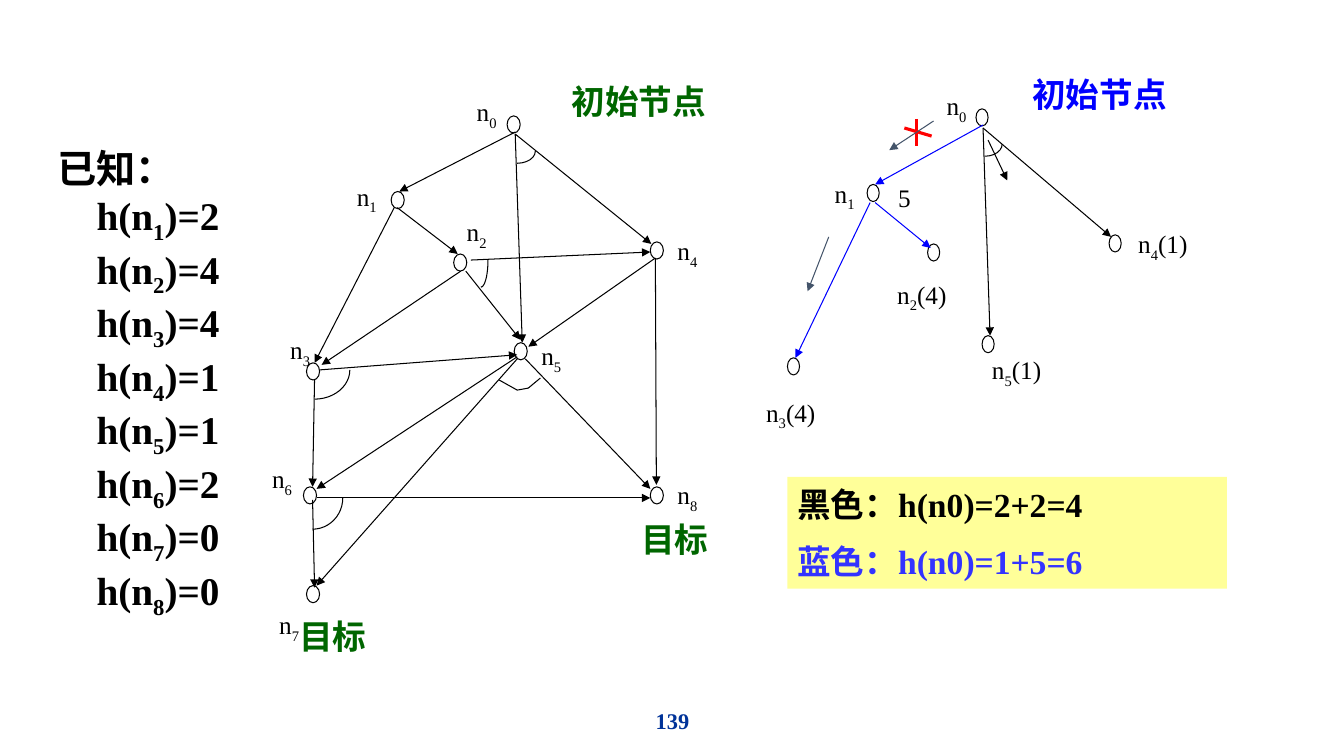
"""Build the slide that compares two solution paths in an AND/OR graph."""
from lxml import etree
from pptx import Presentation
from pptx.dml.color import RGBColor
from pptx.enum.shapes import MSO_CONNECTOR, MSO_SHAPE
from pptx.enum.text import MSO_ANCHOR, MSO_AUTO_SIZE, PP_ALIGN
from pptx.oxml.ns import qn
from pptx.util import Inches, Pt

STRAIGHT = MSO_CONNECTOR.STRAIGHT
OVAL, ARC, RECTANGLE = MSO_SHAPE.OVAL, MSO_SHAPE.ARC, MSO_SHAPE.RECTANGLE
MIDDLE = MSO_ANCHOR.MIDDLE
NO_AUTOFIT = MSO_AUTO_SIZE.NONE
LEFT, CENTER = PP_ALIGN.LEFT, PP_ALIGN.CENTER

FONT = "Times New Roman"
COLORS = {
    "black": "000000", "blue": "0000FF", "violet": "3333FF", "green": "006600",
    "navy": "003399", "red": "FF0000", "slate": "44546A", "yellow": "FFFF99",
}
HEURISTICS = [2, 4, 4, 1, 1, 2, 0, 0]

GRAPH_NODES = [
    (5.03, 1.15), (3.88, 1.9), (4.5, 2.52), (3.04, 3.6), (6.45, 2.4),
    (5.1, 3.4), (3.01, 4.83), (3.04, 5.81), (6.45, 4.83),
]
GRAPH_LABELS = [
    (4.63, 0.93), (3.44, 1.77), (4.53, 2.12), (2.78, 3.29), (6.62, 2.31),
    (5.27, 3.35), (2.6, 4.57), (2.67, 6.02), (6.62, 4.73),
]
GRAPH_EDGES = [
    (5.11, 1.31, 3.96, 1.9), (5.11, 1.33, 5.18, 3.4), (5.11, 1.33, 6.46, 2.42),
    (3.91, 2.06, 3.12, 3.6), (3.94, 2.06, 4.54, 2.52), (4.62, 2.69, 5.16, 3.37),
    (4.67, 2.58, 6.45, 2.5), (4.57, 2.69, 3.19, 3.62), (3.17, 3.67, 5.13, 3.52),
    (3.12, 3.77, 3.1, 4.83), (6.5, 2.56, 5.24, 3.44), (6.5, 2.56, 6.51, 4.81),
    (5.13, 3.54, 3.14, 4.85), (5.13, 3.56, 3.14, 5.81), (5.21, 3.56, 6.45, 4.85),
    (3.14, 4.94, 6.45, 4.94), (3.1, 4.96, 3.12, 5.83),
]
GRAPH_ARCS = [
    (5.13, 1.5, 0.18, 0.12), (4.77, 2.58, 0.07, 0.27),
    (3.12, 3.67, 0.35, 0.29), (3.1, 4.94, 0.3, 0.31),
]
FIVE_BRACKET = [(4.95, 3.77), (5.13, 3.87), (5.24, 3.85), (5.36, 3.75)]

TREE_NODES = [
    (9.68, 1.08), (8.6, 1.83), (9.2, 2.42), (7.81, 3.55), (11, 2.33), (9.74, 3.33),
]
TREE_LABELS = [
    ("n_0", 9.29, 0.87), ("n_1", 8.18, 1.74), ("n_2_(4)", 8.8, 2.74),
    ("n_3_(4)", 7.5, 3.91), ("n_4_(1)", 11.19, 2.24), ("n_5_(1)", 9.74, 3.49),
    ("5", 8.81, 1.76),
]
TREE_EDGES = {
    "black": [(9.75, 1.27, 9.82, 3.33), (9.75, 1.27, 11.02, 2.35),
              (9.8, 1.39, 9.99, 1.79)],
    "blue": [(9.75, 1.24, 8.68, 1.83), (8.63, 2.01, 7.89, 3.55),
             (8.68, 2.01, 9.23, 2.46)],
    "slate": [(9.26, 1.2, 8.82, 1.49), (8.22, 2.35, 8.01, 2.89)],
}
CROSS_STROKES = [(9.09, 1.18, 9.09, 1.45), (8.97, 1.27, 9.24, 1.35)]
CAPTIONS = [
    ("初始节点", 5.57, 0.75, 1.54, "green"), ("初始节点", 10.14, 0.68, 1.54, "blue"),
    ("目标", 6.26, 5.1, 0.87, "green"), ("目标", 2.87, 6.06, 0.87, "green"),
]


def rgb(color):
    """Return the named colour."""
    return RGBColor.from_string(COLORS[color])


def write(paragraph, text, size, color="black", bold=False, align=LEFT):
    """Fill a paragraph, lowering every second part between underscores."""
    paragraph.alignment = align
    for index, part in enumerate(text.split("_")):
        run = paragraph.add_run()
        run.text = part
        run.font.name = FONT
        run.font.size = Pt(size)
        run.font.bold = bold
        run.font.color.rgb = rgb(color)
        if index % 2:
            run.font._element.set("baseline", "-25000")


def prepare_frame(shape, wrap):
    """Centre the text of a shape vertically and return its frame."""
    frame = shape.text_frame
    frame.word_wrap = wrap
    frame.auto_size = NO_AUTOFIT
    frame.vertical_anchor = MIDDLE
    return frame


def add_text(slide, text, left, top, width, height, wrap=False, **style):
    """Add a text box of one line."""
    box = slide.shapes.add_textbox(Inches(left), Inches(top), Inches(width), Inches(height))
    write(prepare_frame(box, wrap).paragraphs[0], text, **style)


def outline(shape):
    """Give a shape a thin black outline and no fill."""
    shape.shadow.inherit = False
    shape.fill.background()
    shape.line.color.rgb = rgb("black")
    shape.line.width = Pt(0.75)


def add_node(slide, left, top, width):
    """Add a small oval node."""
    outline(slide.shapes.add_shape(
        OVAL, Inches(left), Inches(top), Inches(width), Inches(0.17)))


def add_and_arc(slide, center_x, center_y, radius_x, radius_y):
    """Add the lower right quarter of an ellipse as an AND mark."""
    arc = slide.shapes.add_shape(
        ARC, Inches(center_x - radius_x), Inches(center_y - radius_y),
        Inches(2 * radius_x), Inches(2 * radius_y))
    arc.adjustments[0] = 0
    arc.adjustments[1] = 54
    outline(arc)


def add_bracket(slide, points):
    """Add an open AND mark through the points."""
    corners = [(Inches(x), Inches(y)) for x, y in points]
    builder = slide.shapes.build_freeform(*corners[0])
    builder.add_line_segments(corners[1:], close=False)
    outline(builder.convert_to_shape())


def add_line(slide, ends, color="black", width=0.75, arrow=True):
    """Add a straight line, with an arrowhead at its end if wanted."""
    line = slide.shapes.add_connector(STRAIGHT, *[Inches(value) for value in ends])
    line.line.color.rgb = rgb(color)
    line.line.width = Pt(width)
    if arrow:
        etree.SubElement(line.line._get_or_add_ln(), qn("a:tailEnd"), type="triangle")
    etree.SubElement(line._element.spPr, qn("a:effectLst"))


def add_graph(slide):
    """Draw the full graph on the left."""
    for left, top in GRAPH_NODES:
        add_node(slide, left, top, 0.13)
    for edge in GRAPH_EDGES:
        add_line(slide, edge)
    for arc in GRAPH_ARCS:
        add_and_arc(slide, *arc)
    add_bracket(slide, FIVE_BRACKET)
    for index, (left, top) in enumerate(GRAPH_LABELS):
        add_text(slide, f"n_{index}", left, top, 0.41, 0.4, size=18)


def add_tree(slide):
    """Draw the expanded part of the graph on the right."""
    for stroke in CROSS_STROKES:
        add_line(slide, stroke, "red", 2.25, arrow=False)
    for left, top in TREE_NODES:
        add_node(slide, left, top, 0.12)
    for color, edges in TREE_EDGES.items():
        for edge in edges:
            add_line(slide, edge, color)
    add_and_arc(slide, 9.77, 1.43, 0.17, 0.12)
    for text, left, top in TREE_LABELS:
        width = {1: 0.33, 3: 0.41}.get(len(text), 0.7)
        add_text(slide, text, left, top, width, 0.4, size=18)


def add_heuristics(slide):
    """List the given heuristic values."""
    box = slide.shapes.add_textbox(Inches(0.47), Inches(1.62), Inches(2.03), Inches(4.34))
    frame = prepare_frame(box, True)
    write(frame.paragraphs[0], "已知：", 28, bold=True)
    for index, value in enumerate(HEURISTICS, 1):
        paragraph = frame.add_paragraph()
        paragraph._p.get_or_add_pPr().set("marL", str(Inches(0.39)))
        write(paragraph, f"h(n_{index}_)={value}", 28, bold=True)


def add_result(slide):
    """Add the yellow panel with both path costs."""
    panel = slide.shapes.add_shape(
        RECTANGLE, Inches(7.81), Inches(4.73), Inches(4.36), Inches(1.11))
    panel.shadow.inherit = False
    panel.fill.solid()
    panel.fill.fore_color.rgb = rgb("yellow")
    panel.line.fill.background()
    frame = prepare_frame(panel, True)
    write(frame.paragraphs[0], "黑色：h(n0)=2+2=4", 24, bold=True)
    paragraph = frame.add_paragraph()
    paragraph.space_before = Pt(12)
    write(paragraph, "蓝色：h(n0)=1+5=6", 24, "violet", bold=True)


def main():
    """Build and save the presentation."""
    presentation = Presentation()
    presentation.slide_width, presentation.slide_height = Inches(13.33), Inches(7.5)
    slide = presentation.slides.add_slide(presentation.slide_layouts[6])
    add_tree(slide)
    add_graph(slide)
    for text, left, top, width, color in CAPTIONS:
        add_text(slide, text, left, top, width, 0.5, size=24, color=color, bold=True)
    add_result(slide)
    add_heuristics(slide)
    add_text(slide, "139", 4.42, 6.95, 4.5, 0.4, wrap=True,
             size=16, color="navy", bold=True, align=CENTER)
    presentation.save("out.pptx")


if __name__ == "__main__":
    main()
